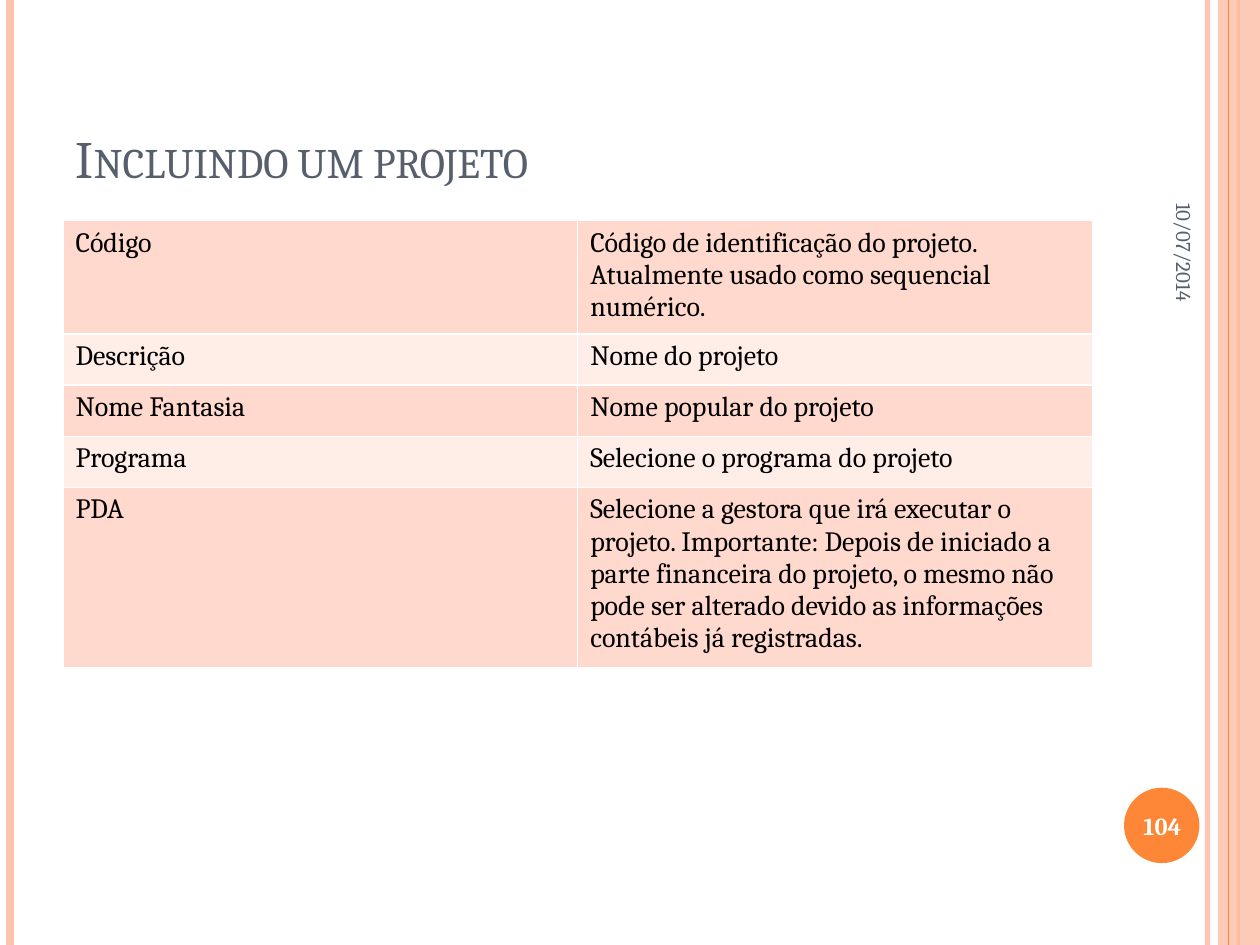
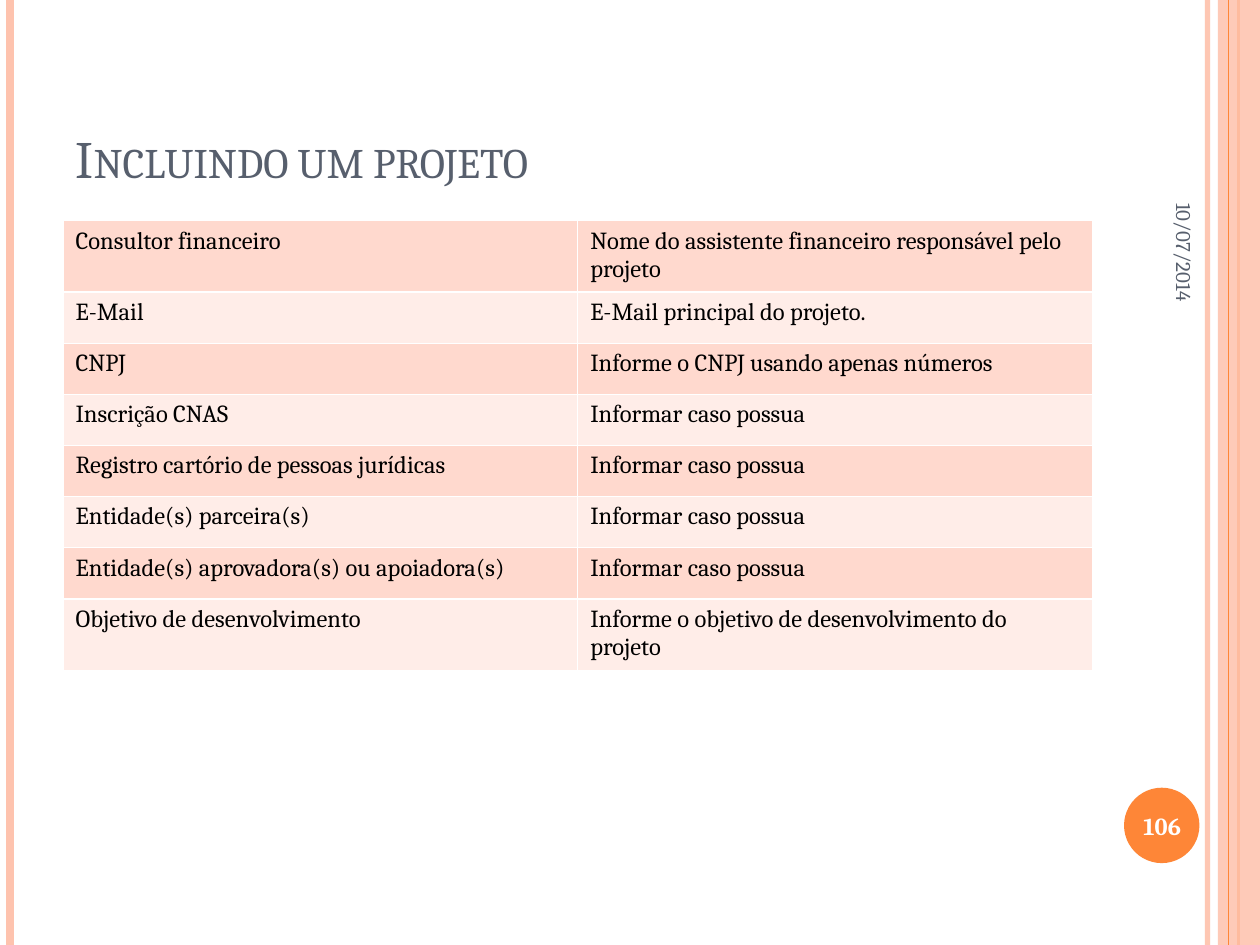
from dataclasses import dataclass

from lxml import etree
from pptx import Presentation
from pptx.dml.color import RGBColor
from pptx.enum.shapes import MSO_CONNECTOR, MSO_SHAPE
from pptx.enum.text import MSO_ANCHOR, MSO_AUTO_SIZE, PP_ALIGN
from pptx.oxml.ns import qn
from pptx.util import Cm, Pt

STRAIGHT = MSO_CONNECTOR.STRAIGHT
RECTANGLE, OVAL = MSO_SHAPE.RECTANGLE, MSO_SHAPE.OVAL
MIDDLE, BOTTOM = MSO_ANCHOR.MIDDLE, MSO_ANCHOR.BOTTOM
LEFT, CENTER, RIGHT = PP_ALIGN.LEFT, PP_ALIGN.CENTER, PP_ALIGN.RIGHT
NO_AUTOFIT = MSO_AUTO_SIZE.NONE

WHITE = RGBColor(0xFF, 0xFF, 0xFF)
BLACK = RGBColor(0x00, 0x00, 0x00)
SLATE = RGBColor(0x57, 0x5F, 0x6D)
ORANGE = RGBColor(0xFE, 0x86, 0x37)
PEACH = RGBColor(0xFE, 0xC3, 0xAE)
ROW_FILLS = (RGBColor(0xFF, 0xD9, 0xCE), RGBColor(0xFF, 0xED, 0xE8))

FONT = "Cambria"
PAGE_WIDTH, PAGE_HEIGHT = Cm(25.4), Cm(19.05)
MARGIN, CONTENT_WIDTH = Cm(1.27), Cm(20.75)
TABLE_TOP, ROW_HEIGHT = Cm(4.45), Cm(1.03)
TITLE = "Incluindo um projeto"
DATE = "10/07/2014"

TITLE_FORMAT = {"name": FONT, "size": Pt(30), "bold": False}
DATE_FORMAT = {"name": FONT, "size": Pt(12)}
NUMBER_FORMAT = {"name": FONT, "size": Pt(14), "bold": True}


@dataclass(frozen=True)
class Stripe:
    x: float
    width: float
    color: RGBColor
    opacity: int = 100


@dataclass(frozen=True)
class FieldPage:
    number: int
    text_size: int
    rows: tuple[tuple[str, str], ...]


STRIPES_BEHIND = (
    Stripe(24.34, 3, PEACH, 93),
    Stripe(0.21, 4.5, PEACH),
    Stripe(24.97, 1.5, ORANGE),
)
STRIPE_IN_FRONT = Stripe(24.77, 0.75, ORANGE)

PAGES = (
    FieldPage(104, 16, (
        ("Código", "Código de identificação do projeto. Atualmente usado "
                   "como sequencial numérico."),
        ("Descrição", "Nome do projeto"),
        ("Nome Fantasia", "Nome popular do projeto"),
        ("Programa", "Selecione o programa do projeto"),
        ("PDA", "Selecione a gestora que irá executar o projeto. Importante: "
                "Depois de iniciado a parte financeira do projeto, o mesmo não "
                "pode ser alterado devido as informações contábeis já "
                "registradas."),
    )),
    FieldPage(106, 14, (
        ("Consultor financeiro",
         "Nome do assistente financeiro responsável pelo projeto"),
        ("E-Mail", "E-Mail principal do projeto."),
        ("CNPJ", "Informe o CNPJ usando apenas números"),
        ("Inscrição CNAS", "Informar caso possua"),
        ("Registro cartório de pessoas jurídicas", "Informar caso possua"),
        ("Entidade(s) parceira(s)", "Informar caso possua"),
        ("Entidade(s) aprovadora(s) ou apoiadora(s)", "Informar caso possua"),
        ("Objetivo de desenvolvimento",
         "Informe o objetivo de desenvolvimento do projeto"),
    )),
)


def write(frame, text: str, align, color: RGBColor, formats: dict):
    """Put one formatted run into a text frame and return the run."""
    para = frame.paragraphs[0]
    para.alignment = align
    span = para.add_run()
    span.text = text
    for name, value in formats.items():
        setattr(span.font, name, value)
    span.font.color.rgb = color
    return span


def set_opacity(shape, percent: int) -> None:
    color = shape._element.spPr.find(".//" + qn("a:srgbClr"))
    etree.SubElement(color, qn("a:alpha"), val=str(percent * 1000))


def add_stripe(page, stripe: Stripe) -> None:
    x = Cm(stripe.x)
    line = page.shapes.add_connector(STRAIGHT, x, 0, x, PAGE_HEIGHT)
    line.line.color.rgb = stripe.color
    line.line.width = Pt(stripe.width)
    if stripe.opacity < 100:
        set_opacity(line, stripe.opacity)
    etree.SubElement(line._element.spPr, qn("a:effectLst"))


def add_filled_shape(page, kind, bounds: tuple, color: RGBColor):
    shape = page.shapes.add_shape(kind, *bounds)
    shape.shadow.inherit = False
    shape.fill.solid()
    shape.fill.fore_color.rgb = color
    shape.line.fill.background()
    return shape


def add_label(page, bounds: tuple, text: str, align, color: RGBColor,
              formats: dict, rotation: int = 0) -> None:
    box = page.shapes.add_textbox(*bounds)
    box.rotation = rotation
    box.text_frame.word_wrap = True
    box.text_frame.vertical_anchor = MIDDLE
    write(box.text_frame, text, align, color, formats)


def add_frame(page, number: int) -> None:
    """Draw the side stripes, the date and the numbered disc."""
    for stripe in STRIPES_BEHIND:
        add_stripe(page, stripe)
    band_left = Cm(24.55)
    band = add_filled_shape(
        page, RECTANGLE,
        (band_left, 0, PAGE_WIDTH - band_left, PAGE_HEIGHT), PEACH)
    set_opacity(band, 87)
    add_stripe(page, STRIPE_IN_FRONT)
    add_filled_shape(page, OVAL,
                     (Cm(22.66), Cm(15.88), Cm(1.52), Cm(1.52)), ORANGE)
    add_label(page, (Cm(21.08), Cm(3), Cm(5.59), Cm(1.07)),
              DATE, RIGHT, SLATE, DATE_FORMAT, rotation=90)
    add_label(page, (Cm(22.58), Cm(15.93), Cm(1.7), Cm(1.45)),
              str(number), CENTER, WHITE, NUMBER_FORMAT)


def format_title(page) -> None:
    title = page.shapes.title
    bounds = {"left": MARGIN, "top": Cm(0.76),
              "width": CONTENT_WIDTH, "height": Cm(3.18)}
    for name, value in bounds.items():
        setattr(title, name, value)
    title.text_frame.auto_size = NO_AUTOFIT
    title.text_frame.vertical_anchor = BOTTOM
    span = write(title.text_frame, TITLE, LEFT, SLATE, TITLE_FORMAT)
    span._r.get_or_add_rPr().set("cap", "small")


def add_cell_borders(cell) -> None:
    properties = cell._tc.get_or_add_tcPr()
    for side in ("a:lnL", "a:lnR", "a:lnT", "a:lnB"):
        border = etree.SubElement(properties, qn(side), w=str(Pt(1)))
        fill = etree.SubElement(border, qn("a:solidFill"))
        etree.SubElement(fill, qn("a:srgbClr"), val=str(WHITE))


def add_field_table(page, content: FieldPage) -> None:
    row_count = len(content.rows)
    table = page.shapes.add_table(
        row_count, 2, MARGIN, TABLE_TOP, CONTENT_WIDTH,
        ROW_HEIGHT * row_count).table
    table.first_row = False
    table.horz_banding = False
    formats = {"name": FONT, "size": Pt(content.text_size)}
    for row_index, texts in enumerate(content.rows):
        for column_index, text in enumerate(texts):
            cell = table.cell(row_index, column_index)
            add_cell_borders(cell)
            cell.fill.solid()
            cell.fill.fore_color.rgb = ROW_FILLS[row_index % 2]
            write(cell.text_frame, text, LEFT, BLACK, formats)


def main() -> None:
    deck = Presentation()
    deck.slide_width, deck.slide_height = PAGE_WIDTH, PAGE_HEIGHT
    title_only = deck.slide_layouts.get_by_name("Title Only")
    for content in PAGES:
        page = deck.slides.add_slide(title_only)
        format_title(page)
        add_frame(page, content.number)
        add_field_table(page, content)
    deck.save("out.pptx")


if __name__ == "__main__":
    main()
